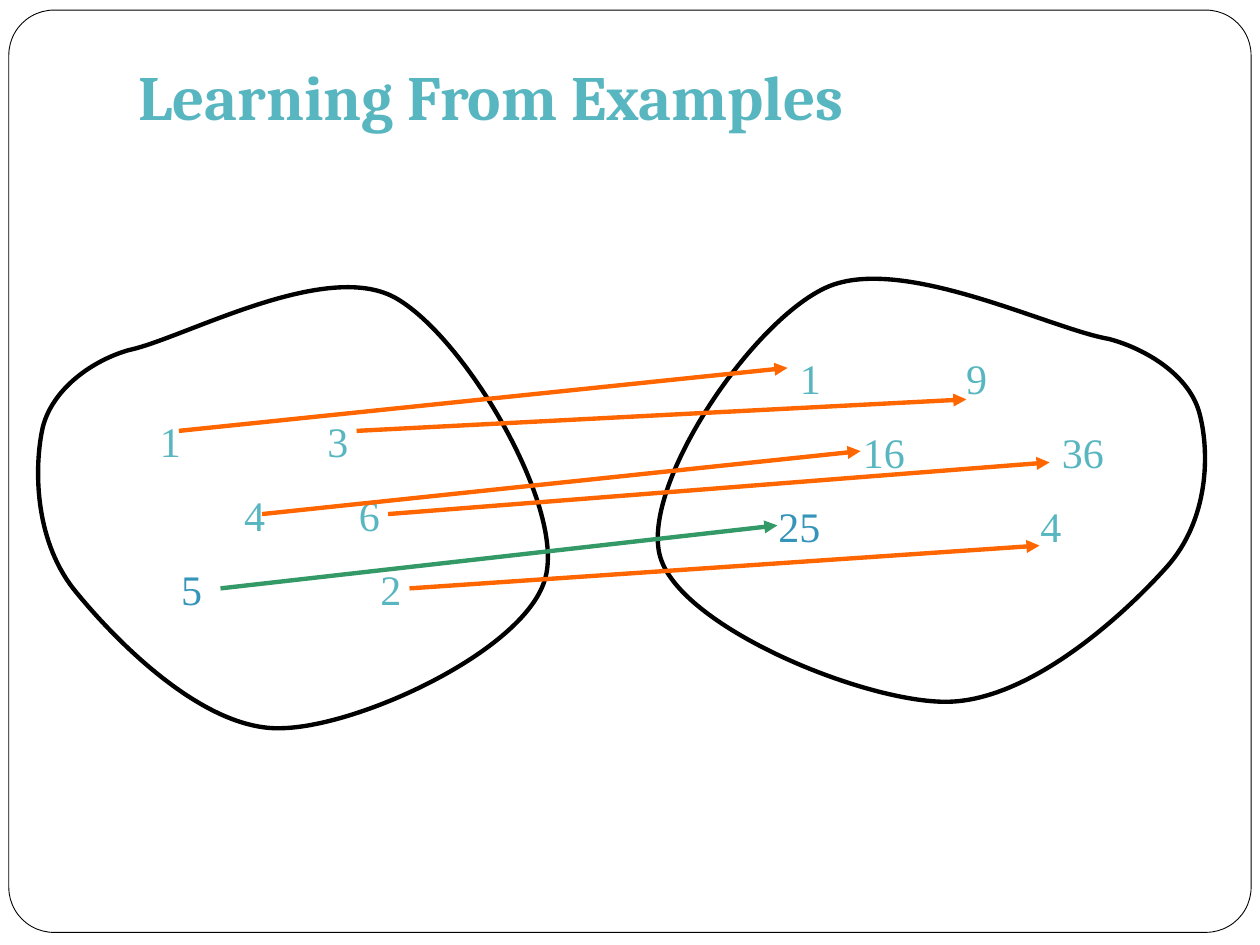
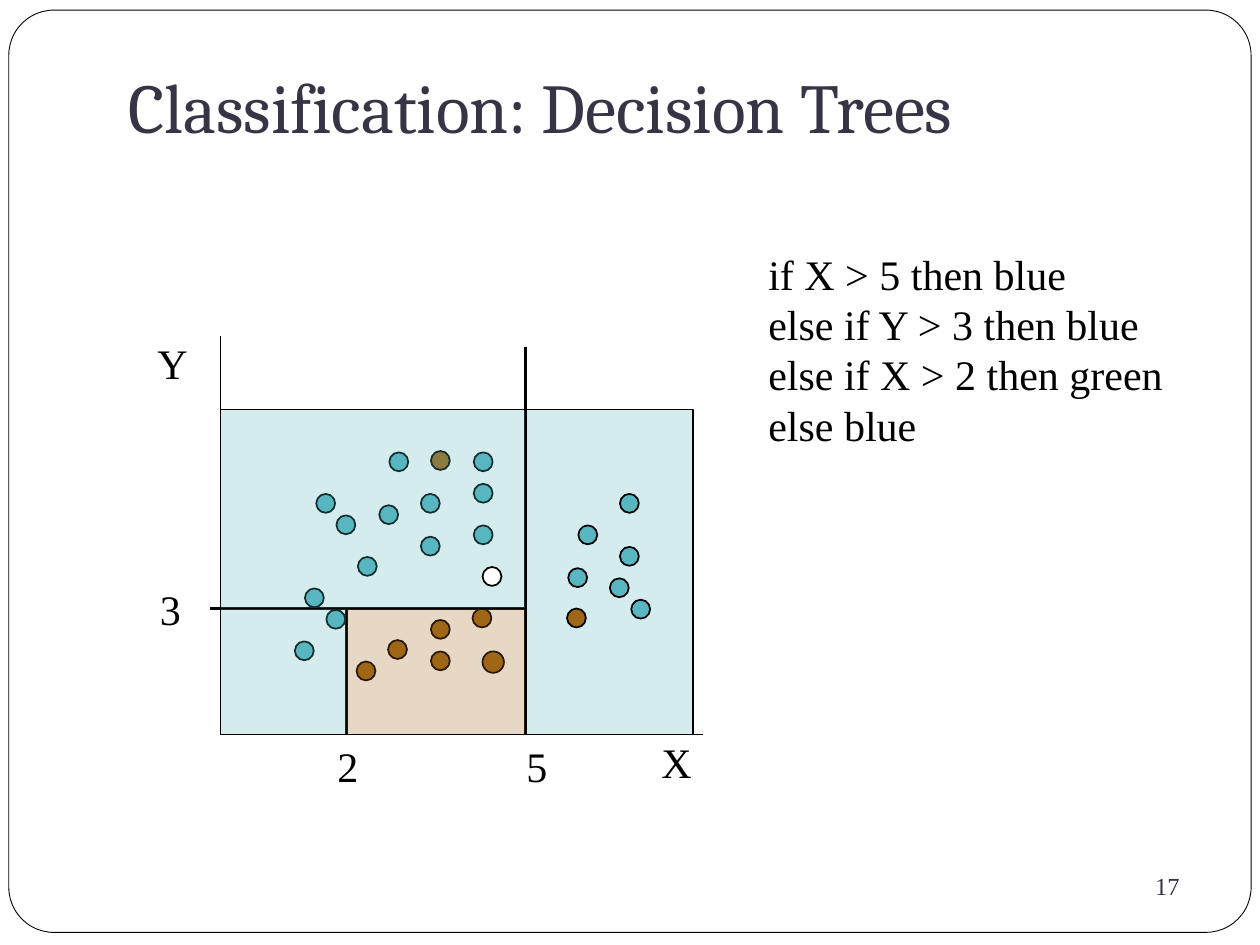
"""Build two slides: learning from examples, and classification with decision trees."""
from pptx import Presentation
from pptx.dml.color import RGBColor
from pptx.enum.shapes import MSO_CONNECTOR, MSO_SHAPE
from pptx.enum.text import MSO_ANCHOR, PP_ALIGN
from pptx.oxml.xmlchemy import OxmlElement
from pptx.util import Pt

PX = 9144
STRAIGHT = MSO_CONNECTOR.STRAIGHT
ROUNDED = MSO_SHAPE.ROUNDED_RECTANGLE
RECTANGLE = MSO_SHAPE.RECTANGLE
OVAL = MSO_SHAPE.OVAL
TOP, MIDDLE, BOTTOM = MSO_ANCHOR.TOP, MSO_ANCHOR.MIDDLE, MSO_ANCHOR.BOTTOM
RIGHT = PP_ALIGN.RIGHT
TITLE_FONT, BODY_FONT = "Cambria", "Times New Roman"
BLACK = RGBColor(0x00, 0x00, 0x00)
WHITE = RGBColor(0xFF, 0xFF, 0xFF)
SLATE = RGBColor(0x37, 0x35, 0x45)
TEAL = RGBColor(0x58, 0xB6, 0xC0)
BLUE = RGBColor(0x34, 0x94, 0xBA)
BROWN = RGBColor(0x9F, 0x67, 0x15)
ORANGE = RGBColor(0xFF, 0x66, 0x00)
GREEN = RGBColor(0x33, 0x99, 0x66)


def add_text(slide, box, lines, size=24, font=BODY_FONT, bold=False, anchor=TOP, wrap=True):
    frame = slide.shapes.add_textbox(*(value * PX for value in box)).text_frame
    frame.word_wrap = wrap
    frame.vertical_anchor = anchor
    for index, runs in enumerate(lines):
        paragraph = frame.paragraphs[0] if index == 0 else frame.add_paragraph()
        for text, color in runs:
            run = paragraph.add_run()
            run.text = text
            run.font.size = Pt(size)
            run.font.name = font
            run.font.bold = bold
            run.font.color.rgb = color
    return frame


def add_shape(slide, kind, box, fill, width, alpha=100):
    shape = slide.shapes.add_shape(kind, *(value * PX for value in box))
    shape.shadow.inherit = False
    shape.fill.solid()
    shape.fill.fore_color.rgb = fill
    shape.line.color.rgb = BLACK
    shape.line.width = Pt(width)
    if alpha < 100:
        opacity = OxmlElement("a:alpha")
        opacity.set("val", str(alpha * 1000))
        shape._element.xpath("./p:spPr/a:solidFill/a:srgbClr")[0].append(opacity)
    return shape


presentation = Presentation()
presentation.slide_width = 1000 * PX
presentation.slide_height = 750 * PX

titles = [
    ("Learning From Examples", (100, 38, 850, 73), 36, TEAL, True),
    ("Classification: Decision Trees", (92, 42, 850, 80), 40, SLATE, False),
]
for title, box, size, color, bold in titles:
    slide = presentation.slides.add_slide(presentation.slide_layouts[6])
    frame = add_shape(slide, ROUNDED, (7, 8, 986, 732), WHITE, 0.5)
    frame.adjustments[0] = 0.049
    add_text(slide, box, [[(title, color)]], size, TITLE_FONT, bold, BOTTOM)
examples_slide, tree_slide = presentation.slides

set_outlines = [
    [(102, 278), (74, 286), (42, 308), (34, 339), (27, 370), (27, 427), (58, 467),
     (90, 507), (161, 580), (223, 578), (286, 577), (419, 515), (433, 458),
     (448, 401), (368, 266), (313, 236), (257, 206), (145, 269), (102, 278)],
    [(880, 269), (910, 277), (944, 298), (952, 328), (960, 358), (960, 412), (926, 450),
     (892, 488), (816, 558), (749, 557), (682, 556), (540, 497), (524, 442),
     (508, 387), (594, 258), (654, 229), (713, 200), (833, 261), (880, 269)],
]
for start, *controls in set_outlines:
    builder = examples_slide.shapes.build_freeform(*start, scale=PX)
    builder.add_line_segments(controls, close=True)
    outline = builder.convert_to_shape()
    outline.shadow.inherit = False
    outline.fill.background()
    outline.line.color.rgb = BLACK
    outline.line.width = Pt(2.5)
    segments = outline._element.xpath(".//a:lnTo")
    for index in range(0, len(segments), 3):
        curve = OxmlElement("a:cubicBezTo")
        segments[index].addprevious(curve)
        for segment in segments[index:index + 3]:
            curve.append(segment[0])
            segment.getparent().remove(segment)

number_sets = [
    ((108, 325, 267, 290), [
        [(9, "1", TEAL), (142, "3", TEAL)],
        [(76, "4", TEAL), (167, "6", TEAL)],
        [(26, "5", BLUE), (184, "2", TEAL)],
    ]),
    ((608, 275, 300, 170), [
        [(17, "1", TEAL), (149, "9", TEAL)],
        [(67, "16", TEAL), (225, "36", TEAL)],
        [(0, "25", BLUE), (208, "4", TEAL)],
    ]),
]
for box, rows in number_sets:
    lines = [[("\t" + text if stop else text, color) for stop, text, color in row] for row in rows]
    frame = add_text(examples_slide, box, lines)
    for paragraph, row in zip(frame.paragraphs, rows):
        paragraph.space_after = Pt(13.5)
        tabs = OxmlElement("a:tabLst")
        for stop, text, color in row:
            if stop:
                tab = OxmlElement("a:tab")
                tab.set("pos", str(stop * PX))
                tab.set("algn", "l")
                tabs.append(tab)
        paragraph._p.get_or_add_pPr().append(tabs)

region_boxes = [
    ((175, 325, 242, 158), TEAL),
    ((175, 483, 100, 100), TEAL),
    ((275, 483, 142, 100), BROWN),
]
add_shape(tree_slide, RECTANGLE, (417, 325, 133, 258), TEAL, 0.75, 25)

blue_points = [
    (251, 392), (267, 409), (301, 401), (334, 392), (242, 467), (376, 359), (284, 442),
    (334, 426), (376, 417), (259, 484), (234, 509), (309, 359), (376, 384), (492, 392),
    (459, 417), (451, 451), (484, 459), (501, 476), (492, 434),
]
green_points = [(283, 525), (308, 508), (342, 517), (342, 492), (375, 483), (342, 358), (450, 483)]
for points, color in ((blue_points, TEAL), (green_points, BROWN)):
    for left, top in points:
        add_shape(tree_slide, OVAL, (left, top, 15, 15), color, 1)
add_shape(tree_slide, OVAL, (383, 517, 17, 17), BROWN, 1)

arrows = [
    ((325, 467), (825, 433), ORANGE),
    ((283, 342), (767, 317), ORANGE),
    ((142, 342), (625, 292), ORANGE),
    ((308, 408), (833, 367), ORANGE),
    ((208, 408), (683, 358), ORANGE),
    ((175, 467), (617, 417), GREEN),
]
axes_and_splits = [
    ((175, 267), (175, 583), 1),
    ((175, 583), (558, 583), 1),
    ((417, 275), (417, 583), 2),
    ((417, 483), (167, 483), 2),
    ((275, 483), (275, 583), 2),
]
lines = [(examples_slide, start, end, color, 2.5, True) for start, end, color in arrows]
lines += [(tree_slide, start, end, BLACK, width, False) for start, end, width in axes_and_splits]
for slide, start, end, color, width, has_arrowhead in lines:
    connector = slide.shapes.add_connector(STRAIGHT, *(value * PX for value in start + end))
    connector.line.color.rgb = color
    connector.line.width = Pt(width)
    properties = connector._element.spPr
    properties.append(OxmlElement("a:effectLst"))
    if has_arrowhead:
        arrowhead = OxmlElement("a:tailEnd")
        arrowhead.set("type", "triangle")
        properties.xpath("./a:ln")[0].append(arrowhead)

for box, color in region_boxes:
    add_shape(tree_slide, RECTANGLE, box, color, 0.75, 25)
add_shape(tree_slide, OVAL, (383, 450, 15, 15), WHITE, 1)

labels = [
    ("X", (515, 580, 44, 50)),
    ("Y", (115, 263, 44, 50)),
    ("5", (408, 583, 37, 50)),
    ("2", (258, 583, 37, 50)),
    ("3", (117, 458, 37, 50)),
]
for label, box in labels:
    add_text(tree_slide, box, [[(label, BLACK)]], wrap=False)

rules = ["if X > 5 then blue", "else if Y > 3 then blue", "else if X > 2 then green", "else blue"]
add_text(tree_slide, (600, 192, 333, 170), [[(rule, BLACK)] for rule in rules], wrap=False)
page_number = add_text(tree_slide, (675, 677, 271, 52), [[("17", SLATE)]], 14, anchor=MIDDLE)
page_number.paragraphs[0].alignment = RIGHT

presentation.save("out.pptx")
